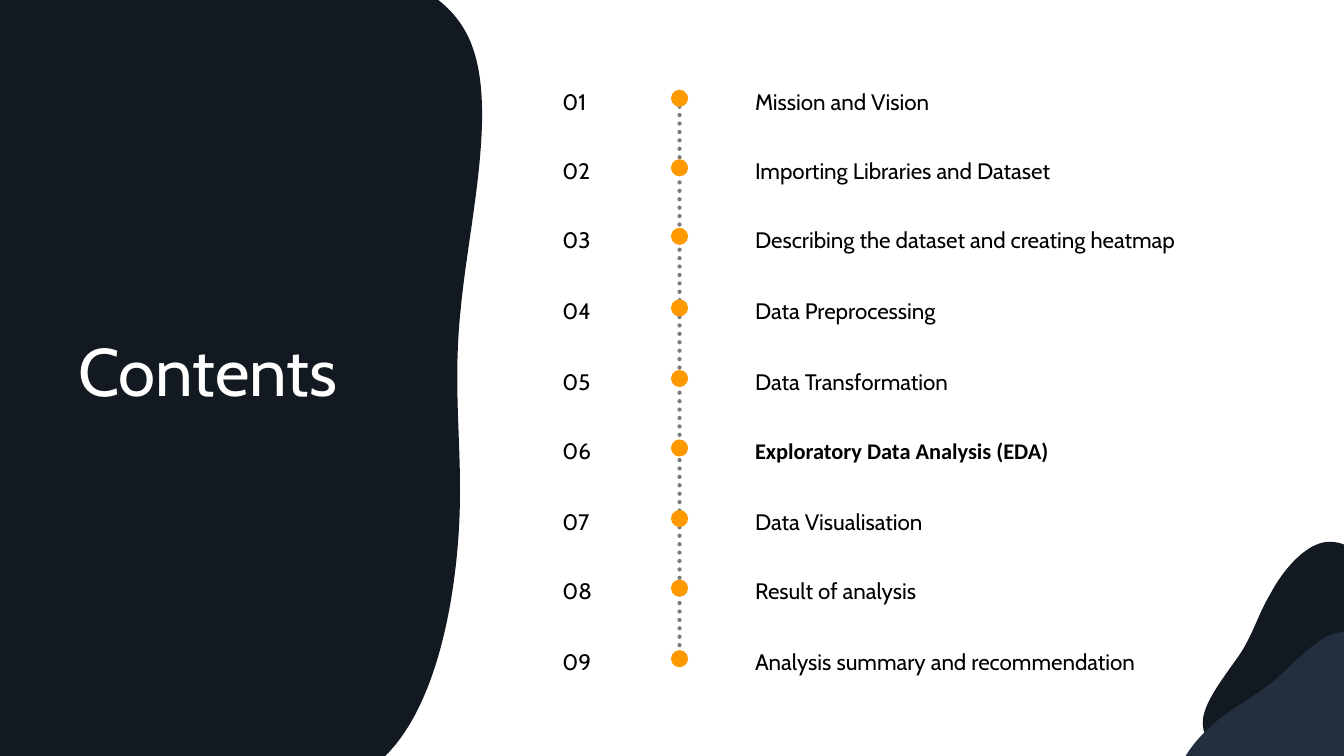
from dataclasses import dataclass
from math import cos, radians, sin

from lxml.etree import SubElement
from pptx import Presentation
from pptx.dml.color import RGBColor
from pptx.enum.dml import MSO_LINE
from pptx.enum.shapes import MSO_CONNECTOR as CONN, MSO_SHAPE as SHAPE
from pptx.enum.text import MSO_AUTO_SIZE as AUTO
from pptx.oxml.ns import qn
from pptx.util import Inches, Pt

COLORS = {
    "white": "FFFFFF",
    "black": "000000",
    "ink": "131921",
    "navy": "232F3E",
    "orange": "FF9900",
    "gray": "595959",
}
FONT = "Cabin"
ROW_H = 0.42
NUMBER_X, LINE_X, TOPIC_X = 5.48, 6.74, 7.39
DOT, DOT_DROP = 0.17, 0.15


@dataclass(frozen=True)
class Topic:
    text: str
    top: float
    width: float
    font: str = FONT
    bold: bool = False


@dataclass(frozen=True)
class Blob:
    color: str
    box: tuple[float, float, float, float]
    rotation: float
    start: tuple[float, float]
    segments: list[tuple[float, ...]]


TOPICS = [
    Topic("Mission and Vision", 0.74, 2.57),
    Topic("Importing Libraries and Dataset", 1.43, 4.93),
    Topic("Describing the dataset and creating heatmap", 2.11, 5.53),
    Topic("Data Preprocessing", 2.82, 5.53),
    Topic("Data Transformation", 3.52, 2.57),
    Topic("Exploratory Data Analysis (EDA)", 4.21, 5.32, "Calibri", True),
    Topic("Data Visualisation", 4.91, 2.57),
    Topic("Result of analysis", 5.6, 2.57),
    Topic("Analysis summary and recommendation", 6.3, 4.5),
]

TITLE_PANEL = Blob("ink", (0, -0.36, 4.78, 8.21), 0, (2.91, -0.35), [
    (3.67, -0.37, 4.44, -0.19, 4.68, 0.45),
    (4.93, 1.11, 4.65, 2.22, 4.57, 3.06),
    (4.48, 3.91, 4.6, 4.49, 4.55, 5.28),
    (4.5, 6.07, 4.3, 7.05, 3.8, 7.52),
    (3.37, 7.93, 2.72, 7.94, 2.13, 7.68),
    (1.96, 7.59), (1.96, 7.69), (0, 7.69), (0, -0.15), (1.81, -0.15), (1.82, -0.15),
    (2.16, -0.29, 2.53, -0.35, 2.91, -0.35),
])

CORNER_BLOBS = [
    Blob("ink", (12.27, 5.35, 1.37, 2.42), 206.4, (11.93, 7.14), [
        (11.95, 6.94, 12.17, 6.68, 12.31, 6.47),
        (12.44, 6.26, 12.48, 6.09, 12.6, 5.89),
        (12.71, 5.68, 12.9, 5.45, 13.09, 5.39),
        (13.28, 5.33, 13.48, 5.45, 13.6, 5.63),
        (13.72, 5.82, 13.76, 6.07, 13.73, 6.33),
        (13.7, 6.58, 13.6, 6.83, 13.46, 7.07),
        (13.31, 7.31, 13.13, 7.53, 12.93, 7.63),
        (12.72, 7.72, 12.5, 7.68, 12.3, 7.59),
        (12.09, 7.49, 11.91, 7.34, 11.93, 7.14),
    ]),
    Blob("navy", (12.14, 6.17, 1.37, 2.42), 55.1, (13.25, 6.28), [
        (13.05, 6.33, 12.83, 6.59, 12.64, 6.75),
        (12.45, 6.91, 12.29, 6.98, 12.1, 7.13),
        (11.92, 7.27, 11.72, 7.49, 11.69, 7.68),
        (11.66, 7.88, 11.8, 8.06, 12, 8.15),
        (12.2, 8.24, 12.46, 8.25, 12.71, 8.18),
        (12.95, 8.11, 13.19, 7.98, 13.4, 7.8),
        (13.62, 7.62, 13.81, 7.41, 13.87, 7.19),
        (13.94, 6.98, 13.86, 6.76, 13.74, 6.57),
        (13.62, 6.39, 13.45, 6.23, 13.25, 6.28),
    ]),
]


def rgb(name: str) -> RGBColor:
    return RGBColor.from_string(COLORS[name])


def paint(sp, color: str) -> None:
    sp.fill.solid()
    sp.fill.fore_color.rgb = rgb(color)
    sp.line.fill.background()
    sp.shadow.inherit = False


def add_text(slide, text: str, x: float, y: float, w: float, h: float, *,
             size: float = 16, font: str = FONT, color: str = "black",
             bold: bool = False, spacing: float = 1.3, wrap: bool = True) -> None:
    tf = slide.shapes.add_textbox(*map(Inches, (x, y, w, h))).text_frame
    tf.word_wrap = wrap
    tf.auto_size = AUTO.SHAPE_TO_FIT_TEXT
    p = tf.paragraphs[0]
    p.line_spacing = spacing
    r = p.add_run()
    r.text = text
    r.font.name = font
    r.font.size = Pt(size)
    r.font.bold = bold
    r.font.color.rgb = rgb(color)


def local_points(blob: Blob, values: tuple[float, ...]) -> list[tuple[int, int]]:
    left, top, width, height = blob.box
    c, s = cos(radians(blob.rotation)), sin(radians(blob.rotation))
    points = []
    for x, y in zip(values[::2], values[1::2]):
        dx, dy = x - left - width / 2, y - top - height / 2
        points.append((Inches(width / 2 + c * dx + s * dy),
                       Inches(height / 2 - s * dx + c * dy)))
    return points


def add_blob(slide, blob: Blob) -> None:
    start = local_points(blob, blob.start)
    parts = [local_points(blob, segment) for segment in blob.segments]
    builder = slide.shapes.build_freeform(*start[0])
    builder.add_line_segments([part[-1] for part in parts], close=True)
    sp = builder.convert_to_shape()
    sp.left, sp.top, sp.width, sp.height = map(Inches, blob.box)
    sp.rotation = blob.rotation
    paint(sp, blob.color)

    outline = sp.element.spPr.find(".//" + qn("a:path"))
    for child in list(outline):
        outline.remove(child)
    outline.set("w", str(sp.width))
    outline.set("h", str(sp.height))
    for part in [start, *parts]:
        tag = "a:moveTo" if part is start else "a:cubicBezTo" if len(part) == 3 else "a:lnTo"
        command = SubElement(outline, qn(tag))
        for x, y in part:
            SubElement(command, qn("a:pt"), x=str(x), y=str(y))
    SubElement(outline, qn("a:close"))


def add_timeline(slide, tops: list[float]) -> None:
    group = slide.shapes.add_group_shape()
    ends = [top + DOT_DROP + DOT / 2 for top in (tops[0], tops[-1])]
    cn = group.shapes.add_connector(CONN.STRAIGHT, Inches(LINE_X), Inches(ends[0]),
                                    Inches(LINE_X), Inches(ends[1]))
    cn.line.color.rgb = rgb("gray")
    cn.line.width = Pt(3)
    cn.line.dash_style = MSO_LINE.ROUND_DOT
    props = cn.element.spPr
    ln = props.find(qn("a:ln"))
    ln.set("cap", "rnd")
    SubElement(ln.find(".//" + qn("a:srgbClr")), qn("a:alpha"), val="80000")
    SubElement(props, qn("a:effectLst"))
    for top in tops:
        sp = group.shapes.add_shape(SHAPE.OVAL, Inches(LINE_X - DOT / 2),
                                    Inches(top + DOT_DROP), Inches(DOT), Inches(DOT))
        paint(sp, "orange")


def main() -> None:
    prs = Presentation()
    prs.slide_width, prs.slide_height = Inches(13.33), Inches(7.5)
    slide = prs.slides.add_slide(prs.slide_layouts[6])
    slide.background.fill.solid()
    slide.background.fill.fore_color.rgb = rgb("white")

    add_blob(slide, TITLE_PANEL)
    add_text(slide, "Contents", 0.68, 3.22, 2.95, 0.91,
             size=48, color="white", spacing=1.0, wrap=False)
    for topic in TOPICS:
        add_text(slide, topic.text, TOPIC_X, topic.top, topic.width, ROW_H,
                 font=topic.font, bold=topic.bold)
    add_timeline(slide, [topic.top for topic in TOPICS])
    for blob in CORNER_BLOBS:
        add_blob(slide, blob)
    for number, topic in enumerate(TOPICS, 1):
        add_text(slide, f"{number:02}", NUMBER_X, topic.top, 0.81, ROW_H)
    prs.save("out.pptx")


if __name__ == "__main__":
    main()
